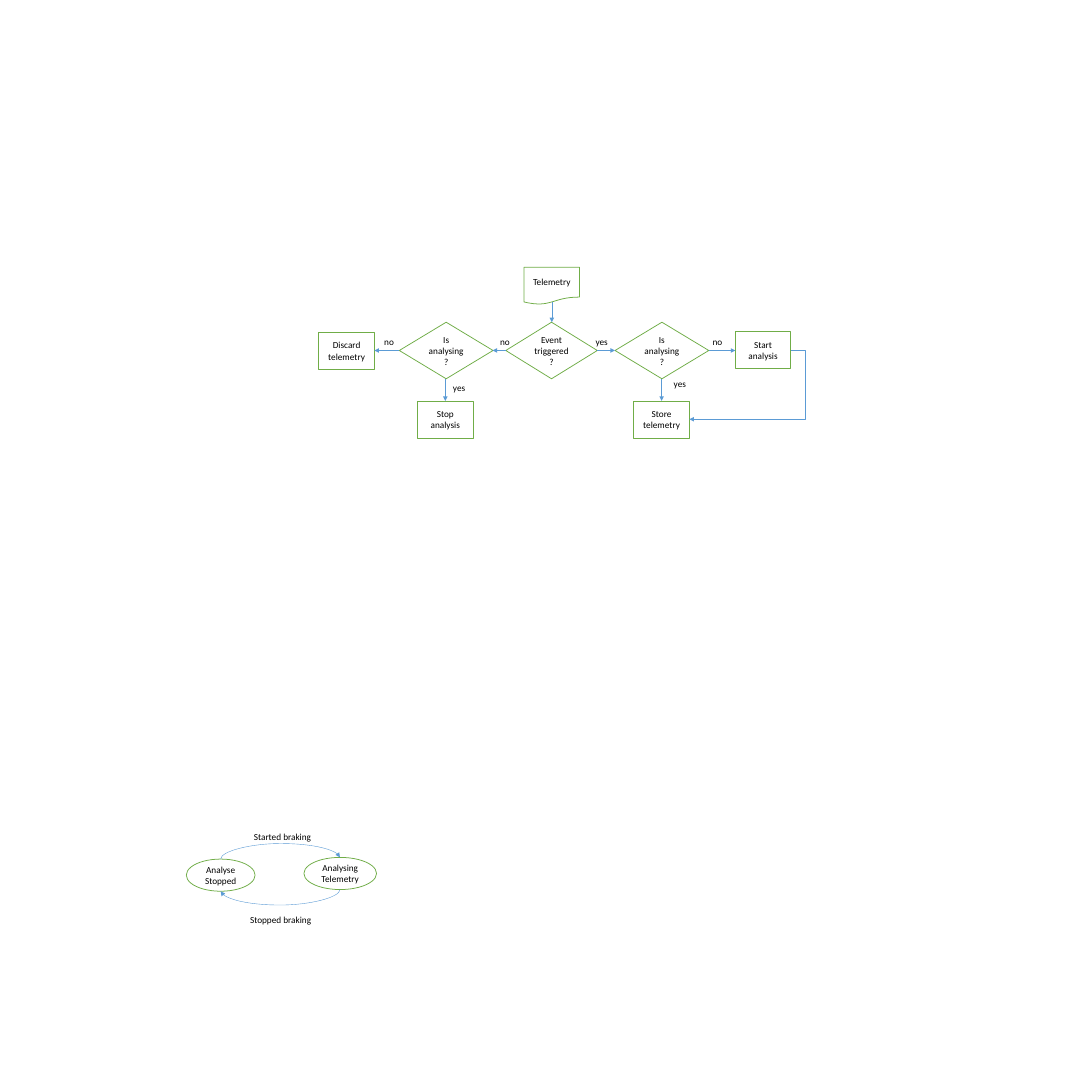
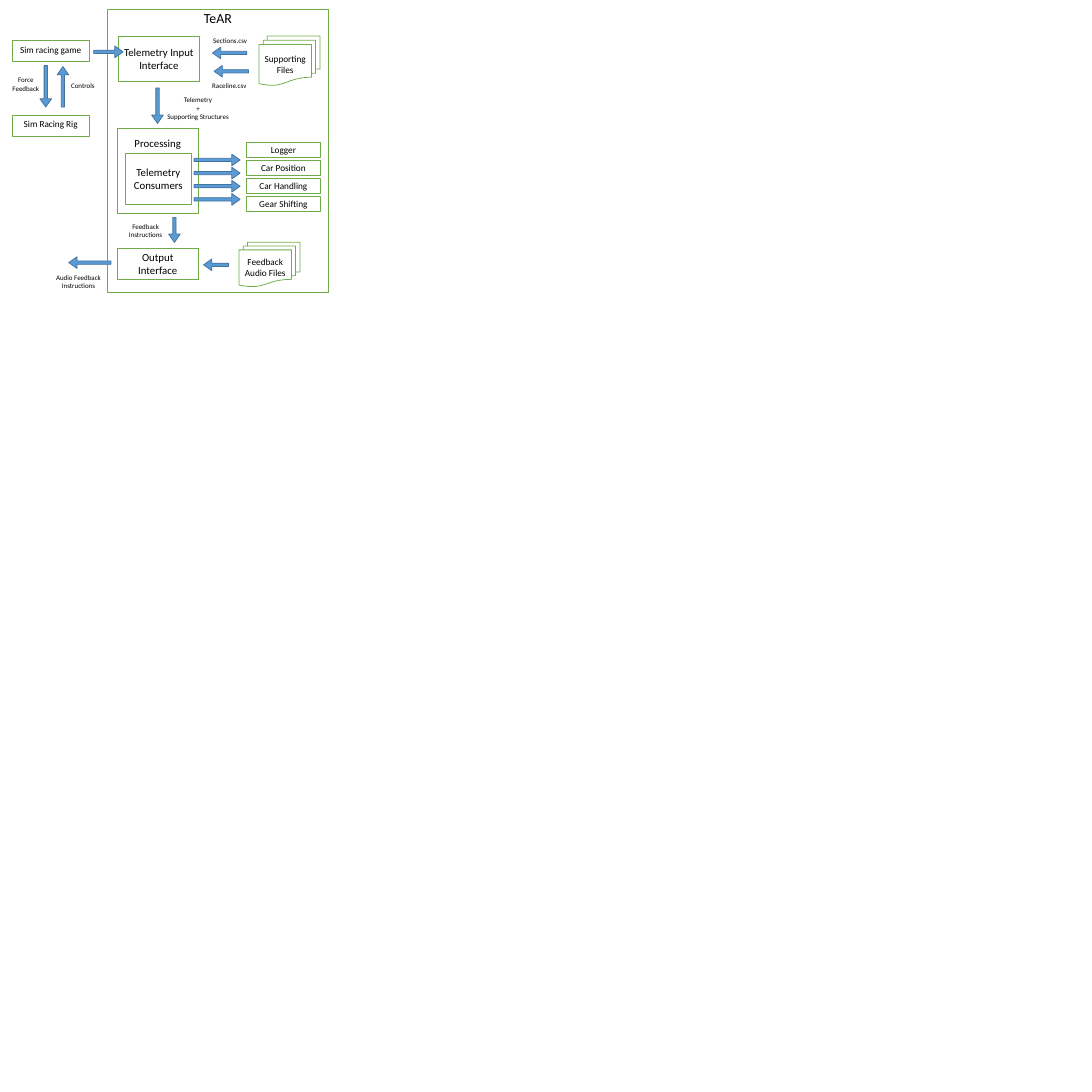
from dataclasses import dataclass
from typing import Any

from lxml.etree import SubElement
from pptx import Presentation
from pptx.dml.color import RGBColor
from pptx.enum.shapes import MSO_CONNECTOR as WIRE, MSO_SHAPE as FORM
from pptx.enum.text import MSO_ANCHOR, MSO_AUTO_SIZE, PP_ALIGN
from pptx.oxml.ns import qn
from pptx.util import Inches, Pt

COLORS = {"paper": "FFFFFF", "ink": "000000", "green": "70AD47",
          "blue": "5B9BD5", "navy": "43739E"}
FONT = "Calibri"
SIDE = 19.69


def hue(name):
    """Return a palette colour."""
    return RGBColor.from_string(COLORS[name])


def write(frame, text, size, align):
    """Write each line of text as a paragraph."""
    for i, line in enumerate(text.split("\n")):
        para = frame.add_paragraph() if i else frame.paragraphs[0]
        para.alignment = align
        run = para.add_run()
        run.text = line
        run.font.name = FONT
        run.font.size = Pt(size)
        run.font.color.rgb = hue("ink")


@dataclass
class Pane:
    """A region of a slide that draws relative to its own corner."""
    slide: Any
    left: float
    top: float

    def spot(self, x, y):
        """Turn a local point into a slide point."""
        return Inches(self.left + x), Inches(self.top + y)

    def shape(self, form, x, y, wide, high, fill, line):
        """Add a flat shape with a thin outline."""
        item = self.slide.shapes.add_shape(
            form, *self.spot(x, y), Inches(wide), Inches(high))
        item.shadow.inherit = False
        if fill:
            item.fill.solid()
            item.fill.fore_color.rgb = hue(fill)
        else:
            item.fill.background()
        item.line.color.rgb = hue(line)
        item.line.width = Pt(1)
        return item

    def node(self, form, x, y, wide, high, text="", size=12, fill="paper"):
        """Add a green outlined shape with centred text."""
        item = self.shape(form, x, y, wide, high, fill, "green")
        if text:
            frame = item.text_frame
            frame.word_wrap = True
            frame.vertical_anchor = MSO_ANCHOR.MIDDLE
            write(frame, text, size, PP_ALIGN.CENTER)

    def arrow(self, x, y, wide, turn=0):
        """Add a block arrow."""
        item = self.shape(FORM.RIGHT_ARROW, x, y, wide, 0.21, "blue", "navy")
        item.adjustments[0] = 0.28
        item.adjustments[1] = 0.71
        item.rotation = turn

    def note(self, text, x, y, wide, high=0.3, size=12, wrap=False,
             align=PP_ALIGN.CENTER):
        """Add a free label."""
        box = self.slide.shapes.add_textbox(
            *self.spot(x, y), Inches(wide), Inches(high))
        frame = box.text_frame
        frame.word_wrap = wrap
        frame.auto_size = MSO_AUTO_SIZE.SHAPE_TO_FIT_TEXT
        write(frame, text, size, align)

    def link(self, start, end, kind=WIRE.STRAIGHT, bend=None, turn=0):
        """Add a thin connector with an arrowhead at its end."""
        item = self.slide.shapes.add_connector(
            kind, *self.spot(*start), *self.spot(*end))
        item.line.color.rgb = hue("blue")
        item.line.width = Pt(0.5)
        props = item.element.spPr
        SubElement(props.find(qn("a:ln")), qn("a:tailEnd"), type="triangle")
        SubElement(props, qn("a:effectLst"))
        if bend is not None:
            geom = props.find(qn("a:prstGeom"))
            guides = geom.find(qn("a:avLst"))
            if guides is None:
                guides = SubElement(geom, qn("a:avLst"))
            SubElement(guides, qn("a:gd"), name="adj1",
                       fmla=f"val {round(bend * 100000)}")
        if turn:
            props.find(qn("a:xfrm")).set("rot", str(turn * 60000))

    def loop(self, start, end, bulge):
        """Add a curve that leaves and arrives vertically."""
        (ax, ay), (bx, by) = start, end
        midx, midy = (ax + bx) / 2, (ay + by) / 2
        dx, dy = ax - midx, ay - midy
        self.link((midx + dy, midy - dx), (midx - dy, midy + dx),
                  WIRE.CURVE, bulge / abs(by - ay), 90)


def flow(slide, x, y):
    """Draw the telemetry decision flow."""
    pane = Pane(slide, x, y)
    pane.node(FORM.FLOWCHART_DOCUMENT, 3.7, 0, 1, 0.67, "Telemetry")
    for left, wide, text in ((1.45, 1.69, "Is analysing?"),
                             (3.37, 1.65, "Event triggered ?"),
                             (5.34, 1.69, "Is analysing?")):
        pane.node(FORM.FLOWCHART_DECISION, left, 0.99, wide, 1.02, text)
    for left, top, text in ((0, 1.17, "Discard telemetry"),
                            (1.78, 2.41, "Stop analysis"),
                            (5.68, 2.41, "Store telemetry"),
                            (7.51, 1.16, "Start analysis")):
        pane.node(FORM.FLOWCHART_PROCESS, left, top, 1, 0.67, text)
    for start, end in ((3.37, 3.13), (1.45, 1), (5.02, 5.34), (7.03, 7.51)):
        pane.link((start, 1.5), (end, 1.5))
    for mid, start, end in ((4.2, 0.63, 0.99), (2.28, 2.01, 2.41),
                            (6.18, 2.01, 2.41)):
        pane.link((mid, start), (mid, end))
    pane.link((8.51, 1.5), (6.68, 2.74), WIRE.ELBOW, -0.14)
    for text, wide, spots in (
            ("no", 0.38, ((1.08, 1.19), (3.17, 1.2), (7, 1.2))),
            ("yes", 0.43, ((2.32, 2.02), (4.89, 1.19), (6.3, 1.95)))):
        for left, top in spots:
            pane.note(text, left, top, wide, align=PP_ALIGN.LEFT)


def cycle(slide, x, y):
    """Draw the two analysis states and their changes."""
    pane = Pane(slide, x, y)
    pane.node(FORM.OVAL, 0, 0.55, 1.24, 0.58, "Analyse Stopped")
    pane.node(FORM.OVAL, 2.12, 0.52, 1.31, 0.58, "Analysing Telemetry")
    pane.loop((0.62, 0.55), (2.77, 0.52), 0.28)
    pane.loop((2.77, 1.1), (0.62, 1.13), 0.28)
    pane.note("Started braking", 1.12, 0, 1.24, align=PP_ALIGN.LEFT)
    pane.note("Stopped braking", 1.05, 1.5, 1.31, align=PP_ALIGN.LEFT)


def system(slide, x, y):
    """Draw the titled system frame."""
    pane = Pane(slide, x, y)
    pane.node(FORM.RECTANGLE, 0, 0.04, 4, 5.11, fill=None)
    pane.note("TeAR", 0, 0, 4, 0.4, 18, True)


def rig(slide, x, y):
    """Draw the game and the rig."""
    pane = Pane(slide, x, y)
    for top, pad, text in ((0, 0.02, "Sim racing game"),
                           (1.35, 0, "Sim Racing Rig")):
        pane.node(FORM.RECTANGLE, 0, top, 1.39, 0.38)
        pane.note(text, 0, top + pad, 1.39, wrap=True)
    pane.arrow(0.23, 0.72, 0.75, 90)
    pane.arrow(0.55, 0.73, 0.73, 270)
    pane.note("Force\nFeedback", -0.1, 0.59, 0.69, 0.4, 9)
    pane.note("Controls", 0.96, 0.7, 0.63, 0.25, 9)


def intake(slide, x, y):
    """Draw the input interface and its files."""
    pane = Pane(slide, x, y)
    pane.node(FORM.RECTANGLE, 0.44, 0.04, 1.47, 0.81,
              "Telemetry Input Interface", 14)
    pane.node(FORM.FLOWCHART_MULTIDOCUMENT, 2.98, 0.04, 1.1, 0.89,
              "Supporting Files")
    pane.arrow(0, 0.22, 0.53)
    pane.arrow(0.83, 1.19, 0.64, 90)
    pane.arrow(2.14, 0.24, 0.62, 180)
    pane.arrow(2.17, 0.57, 0.62, 180)
    pane.note("Sections.csv", 2.05, 0, 0.82, 0.25, 9)
    pane.note("Raceline.csv", 2.03, 0.82, 0.83, 0.25, 9)
    pane.note("Telemetry\n+\nSupporting Structures", 1.22, 1.07, 1.32, 0.56, 9)


def process(slide, x, y):
    """Draw the processing box and its consumers."""
    pane = Pane(slide, x, y)
    pane.node(FORM.RECTANGLE, 0, 0, 1.47, 1.52)
    pane.note("Processing", 0, 0.1, 1.47, 0.34, 14, True)
    pane.node(FORM.RECTANGLE, 0.15, 0.44, 1.19, 0.92,
              "Telemetry Consumers", 14)
    names = ("Logger", "Car Position", "Car Handling", "Gear Shifting")
    for i, name in enumerate(names):
        pane.node(FORM.RECTANGLE, 2.34, 0.24 + i * 0.98 / 3, 1.32, 0.27, name)
        pane.arrow(1.39, 0.46 + i * 0.71 / 3, 0.83)


def output(slide, x, y):
    """Draw the output interface and its audio files."""
    pane = Pane(slide, x, y)
    pane.node(FORM.RECTANGLE, 1.22, 0.51, 1.47, 0.56, "Output Interface", 14)
    pane.node(FORM.FLOWCHART_MULTIDOCUMENT, 3.42, 0.41, 1.1, 0.8,
              "Feedback Audio Files")
    pane.arrow(2.03, 0.08, 0.45, 90)
    pane.arrow(2.78, 0.71, 0.45, 180)
    pane.arrow(0.35, 0.67, 0.76, 180)
    pane.note("Feedback\nInstructions", 1.33, 0, 0.81, 0.4, 9)
    pane.note("Audio Feedback\nInstructions", 0, 0.92, 1.05, 0.4, 9)


def main():
    """Build both slides and save them."""
    deck = Presentation()
    deck.slide_width = deck.slide_height = Inches(SIDE)
    blank = deck.slide_layouts[6]
    first = deck.slides.add_slide(blank)
    flow(first, 5.75, 4.82)
    cycle(first, 3.36, 14.94)
    second = deck.slides.add_slide(blank)
    system(second, 1.93, 0.13)
    rig(second, 0.22, 0.73)
    intake(second, 1.69, 0.61)
    process(second, 2.11, 2.32)
    output(second, 0.89, 3.96)
    deck.save("out.pptx")


if __name__ == "__main__":
    main()
